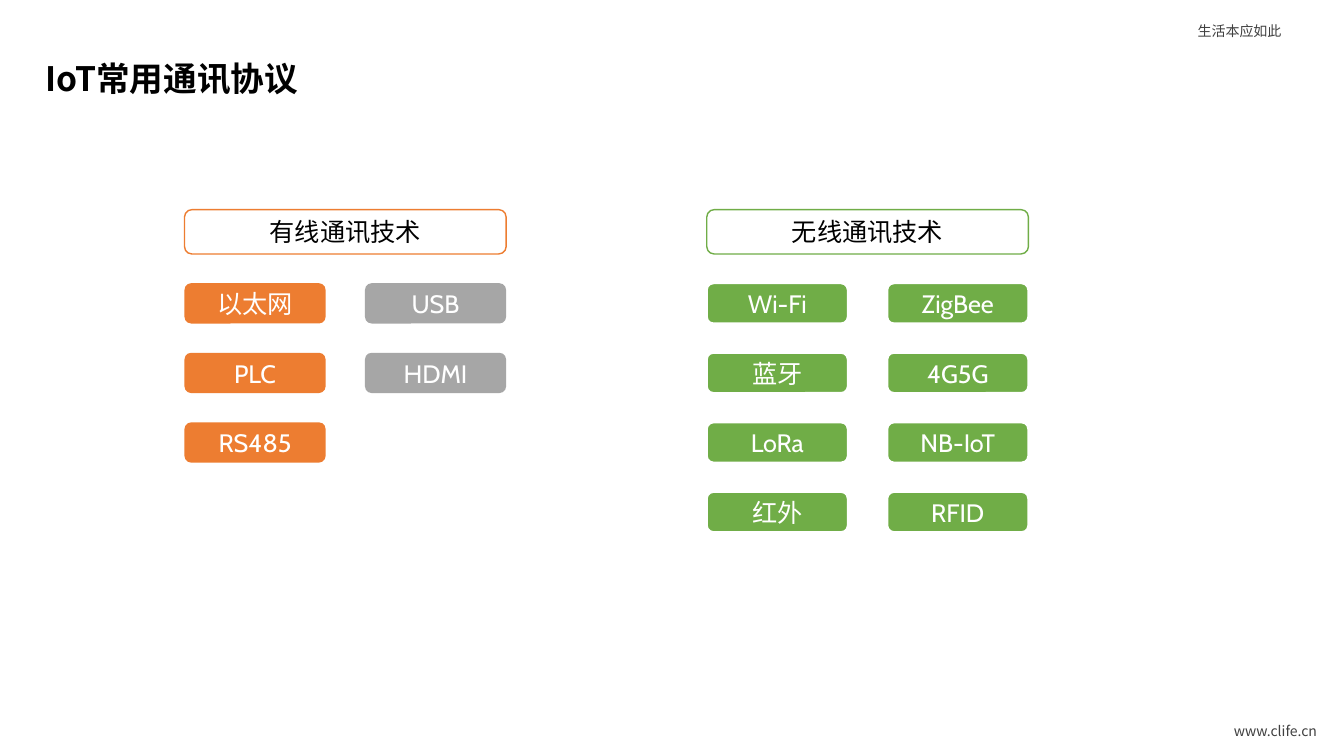
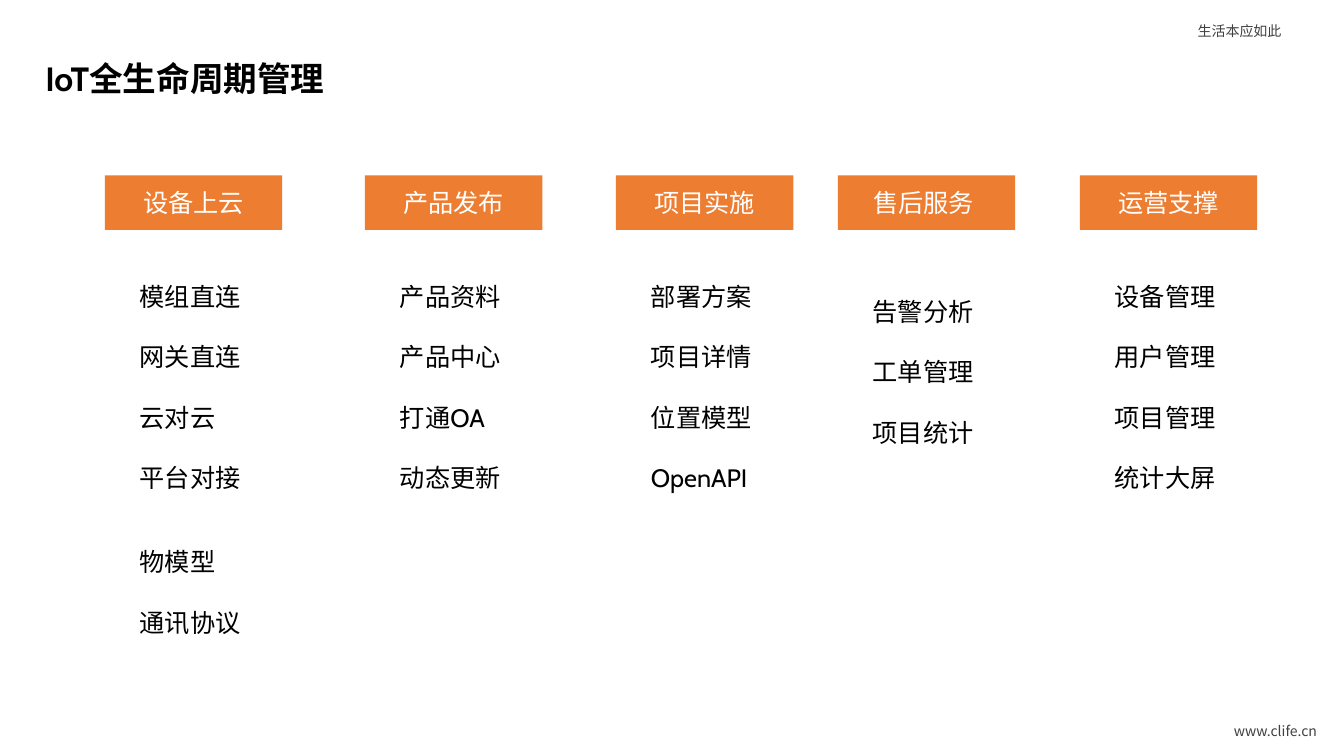
"""Build two slides on IoT protocols and IoT lifecycle management."""
from lxml import etree
from pptx import Presentation
from pptx.dml.color import RGBColor
from pptx.enum.shapes import MSO_SHAPE
from pptx.enum.text import MSO_ANCHOR, MSO_AUTO_SIZE, PP_ALIGN
from pptx.oxml.ns import qn
from pptx.util import Inches, Pt

ROUNDED, RECTANGLE = MSO_SHAPE.ROUNDED_RECTANGLE, MSO_SHAPE.RECTANGLE
MIDDLE = MSO_ANCHOR.MIDDLE
LEFT, CENTER, RIGHT = PP_ALIGN.LEFT, PP_ALIGN.CENTER, PP_ALIGN.RIGHT
NO_AUTOFIT = MSO_AUTO_SIZE.NONE

BLACK = RGBColor(0x00, 0x00, 0x00)
WHITE = RGBColor(0xFF, 0xFF, 0xFF)
DARK_GRAY = RGBColor(0x40, 0x40, 0x40)
GRAY = RGBColor(0xA6, 0xA6, 0xA6)
ORANGE = RGBColor(0xED, 0x7D, 0x31)
GREEN = RGBColor(0x70, 0xAD, 0x47)
CABIN, NOTO = "Cabin", "Noto Sans CJK SC"


def write_text(shape, lines, size, color, align, latin=CABIN, east_asian=CABIN,
               bold=False, gap=0):
    """Fill a shape with evenly spaced paragraphs of one style."""
    frame = shape.text_frame
    frame.word_wrap = True
    frame.auto_size = NO_AUTOFIT
    frame.vertical_anchor = MIDDLE
    frame.text = "\n".join(lines)
    for index, paragraph in enumerate(frame.paragraphs):
        paragraph.alignment = align
        if index and gap:
            paragraph.space_before = Pt(gap)
        font = paragraph.font
        font.size, font.bold, font.name = Pt(size), bold, latin
        font.color.rgb = color
        properties = paragraph._p.pPr.find(qn("a:defRPr"))
        etree.SubElement(properties, qn("a:ea")).set("typeface", east_asian)


def add_label(slide, kind, box, lines, fill=None, color=WHITE, line=None, line_width=1,
              align=CENTER, gap=0):
    """Add a preset shape with text and return it."""
    shape = slide.shapes.add_shape(kind, *map(Inches, box))
    shape.shadow.inherit = False
    if fill is None:
        shape.fill.background()
    else:
        shape.fill.solid()
        shape.fill.fore_color.rgb = fill
    if line is None:
        shape.line.fill.background()
    else:
        shape.line.color.rgb = line
        shape.line.width = Pt(line_width)
    write_text(shape, lines, 18, color, align, gap=gap)
    return shape


presentation = Presentation()
presentation.slide_width, presentation.slide_height = Inches(13.33), Inches(7.5)
title_only = presentation.slide_layouts[5]

slides = []
for title_text, title_font in (("IoT常用通讯协议", NOTO), ("IoT全生命周期管理", CABIN)):
    slide = presentation.slides.add_slide(title_only)
    title = slide.shapes.title
    title.left, title.top, title.width, title.height = map(Inches, (0.35, 0.43, 6.24, 0.57))
    write_text(title, [title_text], 24, BLACK, LEFT, title_font, NOTO, bold=True)
    title.text_frame.paragraphs[0].line_spacing = 1.3
    for top, text, align in ((0.17, "生活本应如此", LEFT), (7.12, "www.clife.cn", RIGHT)):
        caption = slide.shapes.add_textbox(*map(Inches, (11.78, top, 1.38, 0.27)))
        write_text(caption, [text], 10, DARK_GRAY, align, NOTO, NOTO)
    slides.append(slide)
protocol_slide, lifecycle_slide = slides

PILL_WIDTH, PILL_HEIGHT = 1.4, 0.4
COLUMN_PITCH, ROW_PITCH = 1.79, 0.69
FIRST_ROW = 2.81
protocol_groups = (
    (1.83, "有线通讯技术", ORANGE, None, (
        (ORANGE, ("以太网", "PLC", "RS485")),
        (GRAY, ("USB", "HDMI")),
    )),
    (7.01, "无线通讯技术", GREEN, WHITE, (
        (GREEN, ("Wi-Fi", "蓝牙", "LoRa", "红外")),
        (GREEN, ("ZigBee", "4G5G", "NB-IoT", "RFID")),
    )),
)
for group_left, heading, accent, pill_line, columns in protocol_groups:
    heading_box = (group_left, 2.08, COLUMN_PITCH + PILL_WIDTH, 0.44)
    add_label(protocol_slide, ROUNDED, heading_box, [heading], WHITE, BLACK, accent)
    for column, (fill, names) in enumerate(columns):
        for row, name in enumerate(names):
            pill_box = (group_left + column * COLUMN_PITCH, FIRST_ROW + row * ROW_PITCH,
                        PILL_WIDTH, PILL_HEIGHT)
            add_label(protocol_slide, ROUNDED, pill_box, [name], fill,
                      line=pill_line, line_width=1.5)

LIST_INDENT, LIST_WIDTH = 0.18, 1.4
INSET, LINE_STEP = 0.05, 0.3
MAIN_LIST, EXTRA_LIST = (2.52, 2.64), (5.25, 1.85)
stages = (
    (1.04, "设备上云", (
        (MAIN_LIST, 0, ("模组直连", "网关直连", "云对云", "平台对接")),
        (EXTRA_LIST, 2, ("物模型", "通讯协议")),
    )),
    (3.62, "产品发布", ((MAIN_LIST, 0, ("产品资料", "产品中心", "打通OA", "动态更新")),)),
    (6.11, "项目实施", ((MAIN_LIST, 0, ("部署方案", "项目详情", "位置模型", "OpenAPI")),)),
    (8.31, "售后服务 ", ((MAIN_LIST, 1, ("告警分析", "工单管理", "项目统计")),)),
    (10.71, "运营支撑", ((MAIN_LIST, 0, ("设备管理", "用户管理", "项目管理", "统计大屏")),)),
)
for stage_left, heading, item_lists in stages:
    add_label(lifecycle_slide, RECTANGLE, (stage_left, 1.74, 1.76, 0.54), [heading], ORANGE)
    for (list_top, list_height), free_lines, items in item_lists:
        list_box = (stage_left + LIST_INDENT, list_top, LIST_WIDTH, list_height)
        item_list = add_label(lifecycle_slide, ROUNDED, list_box, items, color=BLACK,
                              align=LEFT, gap=21.6)
        item_list.text_frame.margin_bottom = Inches(INSET + free_lines * LINE_STEP)

presentation.save("out.pptx")
